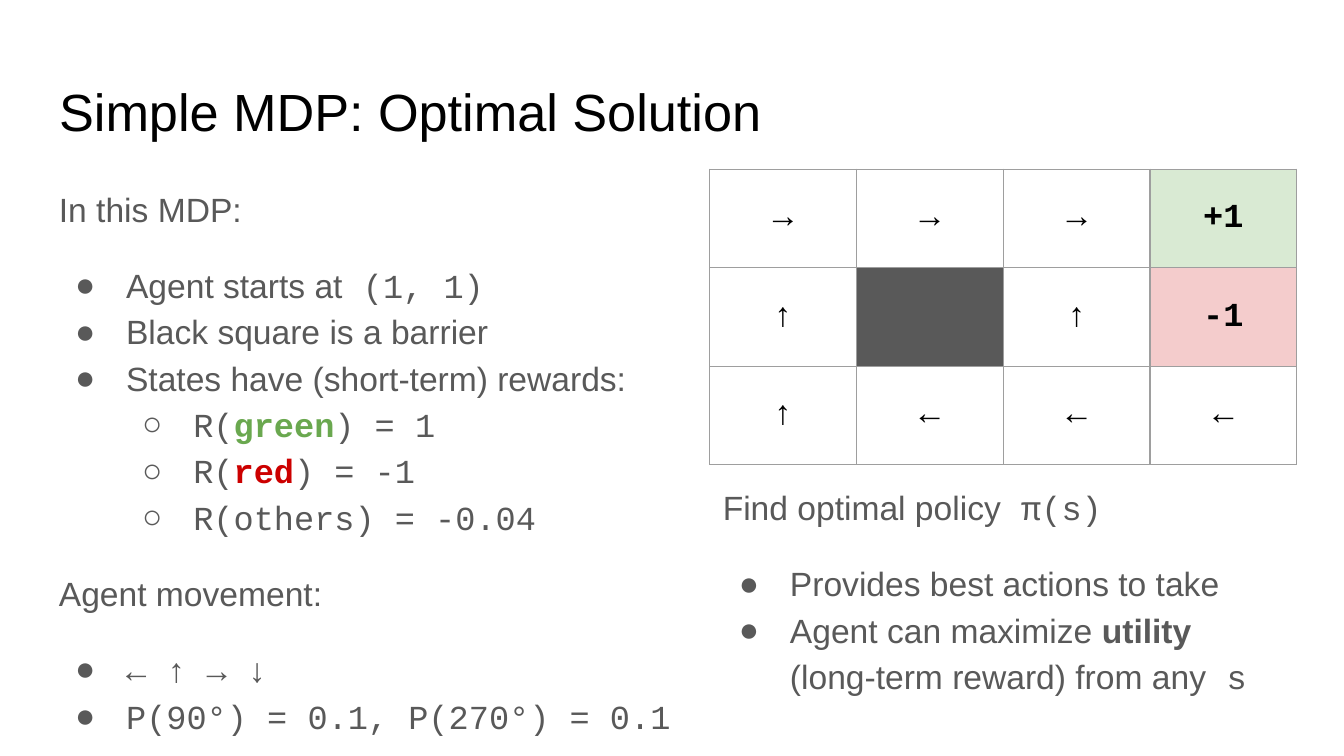
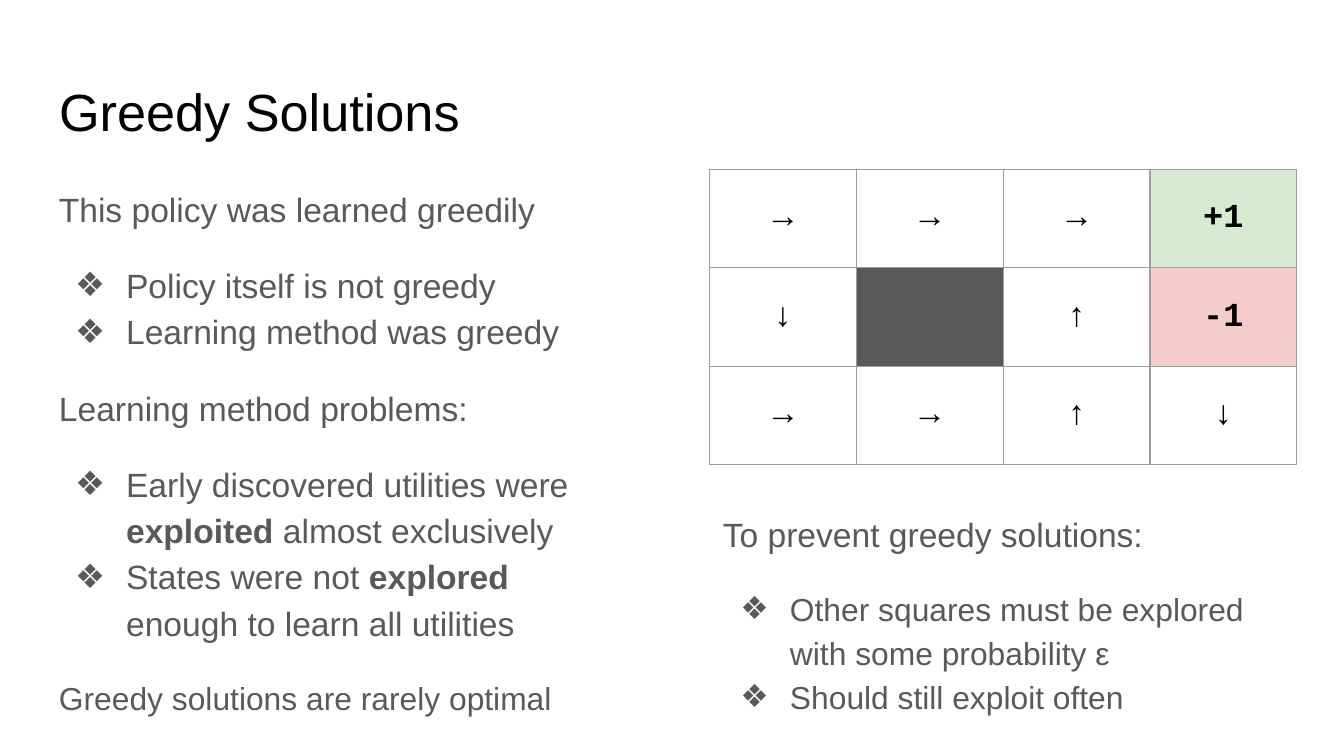
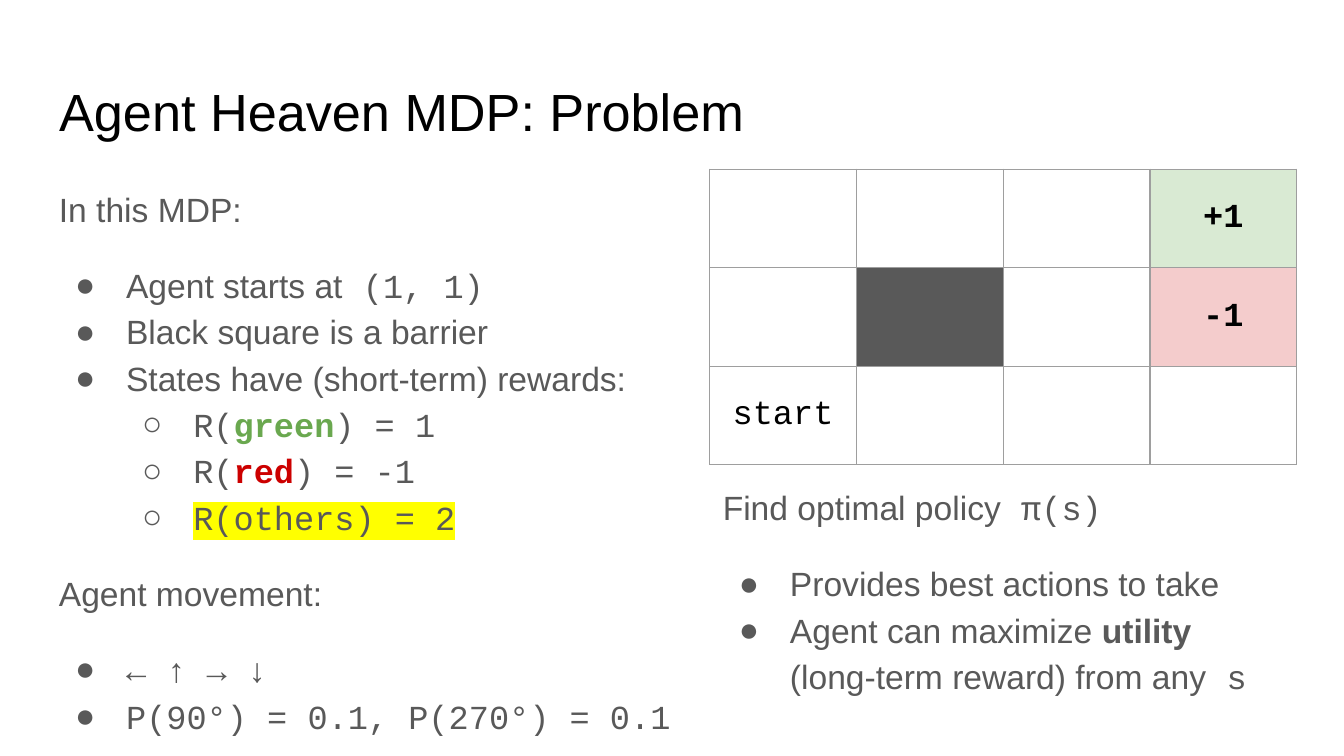
from dataclasses import dataclass

from lxml.etree import SubElement
from pptx import Presentation
from pptx.dml.color import RGBColor
from pptx.enum.text import MSO_ANCHOR, MSO_AUTO_SIZE, PP_ALIGN
from pptx.oxml.ns import qn
from pptx.util import Inches, Pt

BLACK = RGBColor(0x00, 0x00, 0x00)
GRAY = RGBColor(0x59, 0x59, 0x59)
BORDER = RGBColor(0x9E, 0x9E, 0x9E)
GREEN = RGBColor(0x6A, 0xA8, 0x4F)
RED = RGBColor(0xCC, 0x00, 0x00)
PALE_GREEN = RGBColor(0xD9, 0xEA, 0xD3)
PALE_RED = RGBColor(0xF4, 0xCC, 0xCC)
YELLOW = RGBColor(0xFF, 0xFF, 0x00)

SANS = "Arial"
MONO = "Courier New"
LEFT_EDGE, RIGHT_EDGE, CONTENT_TOP = 0.34, 5.28, 1.26
COLUMN_WIDTH, WIDE_COLUMN = 4.37, 4.94
GRID_HEIGHT = 2.2
ROUND_BULLETS = ("●", "○")
DIAMOND_BULLETS = ("❖",)
CELL_FILLS = {(0, 3): PALE_GREEN, (1, 1): GRAY, (1, 3): PALE_RED}


@dataclass
class Piece:
    """A stretch of text with one look."""
    text: str
    font: str = SANS
    color: RGBColor = GRAY
    bold: bool = False
    highlight: RGBColor = None


@dataclass
class Line:
    """A paragraph; level 0 is a heading, higher levels are bullets."""
    level: int
    pieces: list
    size: int = 18


def code(text, **look):
    """Return a monospaced piece."""
    return Piece(text, MONO, **look)


def add_color(parent, tag, color):
    """Append an element that holds one colour."""
    element = SubElement(parent, qn(tag))
    SubElement(element, qn("a:srgbClr"), val=str(color))


def format_run(run, font, size, color, bold=False, highlight=None):
    """Set the look of a run for all scripts."""
    run.font.size = Pt(size)
    run.font.bold = bold
    run.font.color.rgb = color
    properties = run._r.get_or_add_rPr()
    if highlight is not None:
        add_color(properties, "a:highlight", highlight)
    run.font.name = font
    for tag in ("a:ea", "a:cs"):
        SubElement(properties, qn(tag), typeface=font)


def set_margins(target):
    """Give a text frame or a cell its insets."""
    target.margin_left = target.margin_right = Inches(0.1)
    target.margin_top = target.margin_bottom = Inches(0.1)


def set_frame(frame):
    """Give a text frame its wrapping, top anchor and insets."""
    frame.word_wrap = True
    frame.auto_size = MSO_AUTO_SIZE.NONE
    frame.vertical_anchor = MSO_ANCHOR.TOP
    set_margins(frame)


def add_bullet(paragraph, level, size, bullets):
    """Give a paragraph a hanging bullet."""
    paragraph.level = level - 1
    properties = paragraph._p.get_or_add_pPr()
    properties.set("marL", str(Inches(0.5 * level)))
    properties.set("indent", str(-Inches(0.38 if size == 18 else 0.37)))
    add_color(properties, "a:buClr", GRAY)
    SubElement(properties, qn("a:buFont"), typeface=SANS)
    SubElement(properties, qn("a:buChar"), char=bullets[level - 1])


def add_text(slide, left, top, width, height, lines, bullets):
    """Add headings and bullets, with a gap wherever the two meet."""
    box = slide.shapes.add_textbox(Inches(left), Inches(top), Inches(width), Inches(height))
    frame = box.text_frame
    set_frame(frame)
    previous = None
    for line in lines:
        paragraph = frame.add_paragraph() if previous else frame.paragraphs[0]
        paragraph.line_spacing = 1.15
        if previous and (previous.level == 0) != (line.level == 0):
            paragraph.space_before = Pt(16)
        if line.level:
            add_bullet(paragraph, line.level, line.size, bullets)
        for piece in line.pieces:
            run = paragraph.add_run()
            run.text = piece.text
            format_run(run, piece.font, line.size, piece.color, piece.bold, piece.highlight)
        previous = line


def add_title_slide(presentation, title):
    """Add a slide with its title in place."""
    slide = presentation.slides.add_slide(presentation.slide_layouts[5])
    shape = slide.shapes.title
    shape.left, shape.top = Inches(LEFT_EDGE), Inches(0.49)
    shape.width, shape.height = Inches(9.32), Inches(0.63)
    shape.text_frame.text = title
    set_frame(shape.text_frame)
    paragraph = shape.text_frame.paragraphs[0]
    paragraph.alignment = PP_ALIGN.LEFT
    format_run(paragraph.runs[0], SANS, 28, BLACK)
    return slide


def format_cell(cell, text, fill):
    """Set the text, borders and fill of a grid cell."""
    cell.vertical_anchor = MSO_ANCHOR.MIDDLE
    set_margins(cell)
    cell.text_frame.text = text
    paragraph = cell.text_frame.paragraphs[0]
    paragraph.alignment = PP_ALIGN.CENTER
    for run in paragraph.runs:
        format_run(run, MONO, 18, BLACK, bold=fill is not None)
    properties = cell._tc.get_or_add_tcPr()
    for side in ("a:lnL", "a:lnR", "a:lnT", "a:lnB"):
        border = SubElement(properties, qn(side), w=str(Pt(0.75)))
        add_color(border, "a:solidFill", BORDER)
    if fill is None:
        cell.fill.background()
    else:
        cell.fill.solid()
        cell.fill.fore_color.rgb = fill


def add_grid(slide, rows):
    """Add the grid world as a table."""
    frame = slide.shapes.add_table(
        len(rows), len(rows[0]), Inches(RIGHT_EDGE), Inches(CONTENT_TOP),
        Inches(COLUMN_WIDTH), Inches(GRID_HEIGHT))
    table = frame.table
    table.first_row = table.horz_banding = False
    for row_index, row in enumerate(rows):
        for column_index, text in enumerate(row):
            fill = CELL_FILLS.get((row_index, column_index))
            format_cell(table.cell(row_index, column_index), text, fill)


def add_problem_slide(presentation, title, others, rows):
    """Add a slide that states a decision process beside its grid."""
    slide = add_title_slide(presentation, title)
    add_text(slide, LEFT_EDGE, CONTENT_TOP, WIDE_COLUMN, 3.74, [
        Line(0, [Piece("In this MDP:")]),
        Line(1, [Piece("Agent starts at"), code(" (1, 1)")]),
        Line(1, [Piece("Black square is a barrier")]),
        Line(1, [Piece("States have (short-term) rewards:")]),
        Line(2, [code("R("), code("green", color=GREEN, bold=True), code(") = 1")]),
        Line(2, [code("R("), code("red", color=RED, bold=True), code(") = -1")]),
        Line(2, [others]),
        Line(0, [Piece("Agent movement:")]),
        Line(1, [code("← ↑ → ↓")]),
        Line(1, [code("P(90°) = 0.1, P(270°) = 0.1")]),
    ], ROUND_BULLETS)
    add_text(slide, RIGHT_EDGE, 3.48, COLUMN_WIDTH, 1.52, [
        Line(0, [Piece("Find optimal policy"), code(" π(s)")]),
        Line(1, [Piece("Provides best actions to take")]),
        Line(1, [Piece("Agent can maximize "), Piece("utility", bold=True),
                 Piece(" (long-term reward) from any"), code(" s")]),
    ], ROUND_BULLETS)
    add_grid(slide, rows)


def add_greedy_slide(presentation):
    """Add the slide on greedy learning."""
    slide = add_title_slide(presentation, "Greedy Solutions")
    add_text(slide, LEFT_EDGE, CONTENT_TOP, COLUMN_WIDTH, 3.74, [
        Line(0, [Piece("This policy was learned greedily")]),
        Line(1, [Piece("Policy itself is not greedy")]),
        Line(1, [Piece("Learning method was greedy")]),
        Line(0, [Piece("Learning method problems:")]),
        Line(1, [Piece("Early discovered utilities were "), Piece("exploited", bold=True),
                 Piece(" almost exclusively")]),
        Line(1, [Piece("States were not "), Piece("explored", bold=True),
                 Piece(" enough to learn all utilities")]),
        Line(0, [Piece("Greedy solutions are rarely optimal")], 17),
    ], DIAMOND_BULLETS)
    add_text(slide, RIGHT_EDGE, 3.68, COLUMN_WIDTH, 1.32, [
        Line(0, [Piece("To prevent greedy solutions:")]),
        Line(1, [Piece("Other squares must be explored with some probability ε")], 17),
        Line(1, [Piece("Should still exploit often")], 17),
    ], DIAMOND_BULLETS)
    add_grid(slide, [["→", "→", "→", "+1"], ["↓", "", "↑", "-1"], ["→", "→", "↑", "↓"]])


def main():
    """Build and save the presentation."""
    presentation = Presentation()
    presentation.slide_width = Inches(10)
    presentation.slide_height = Inches(10 * 9 / 16)
    add_problem_slide(
        presentation, "Simple MDP: Optimal Solution", code("R(others) = -0.04"),
        [["→", "→", "→", "+1"], ["↑", "", "↑", "-1"], ["↑", "←", "←", "←"]])
    add_greedy_slide(presentation)
    add_problem_slide(
        presentation, "Agent Heaven MDP: Problem", code("R(others) = 2", highlight=YELLOW),
        [["", "", "", "+1"], ["", "", "", "-1"], ["start", "", "", ""]])
    presentation.save("out.pptx")


if __name__ == "__main__":
    main()
